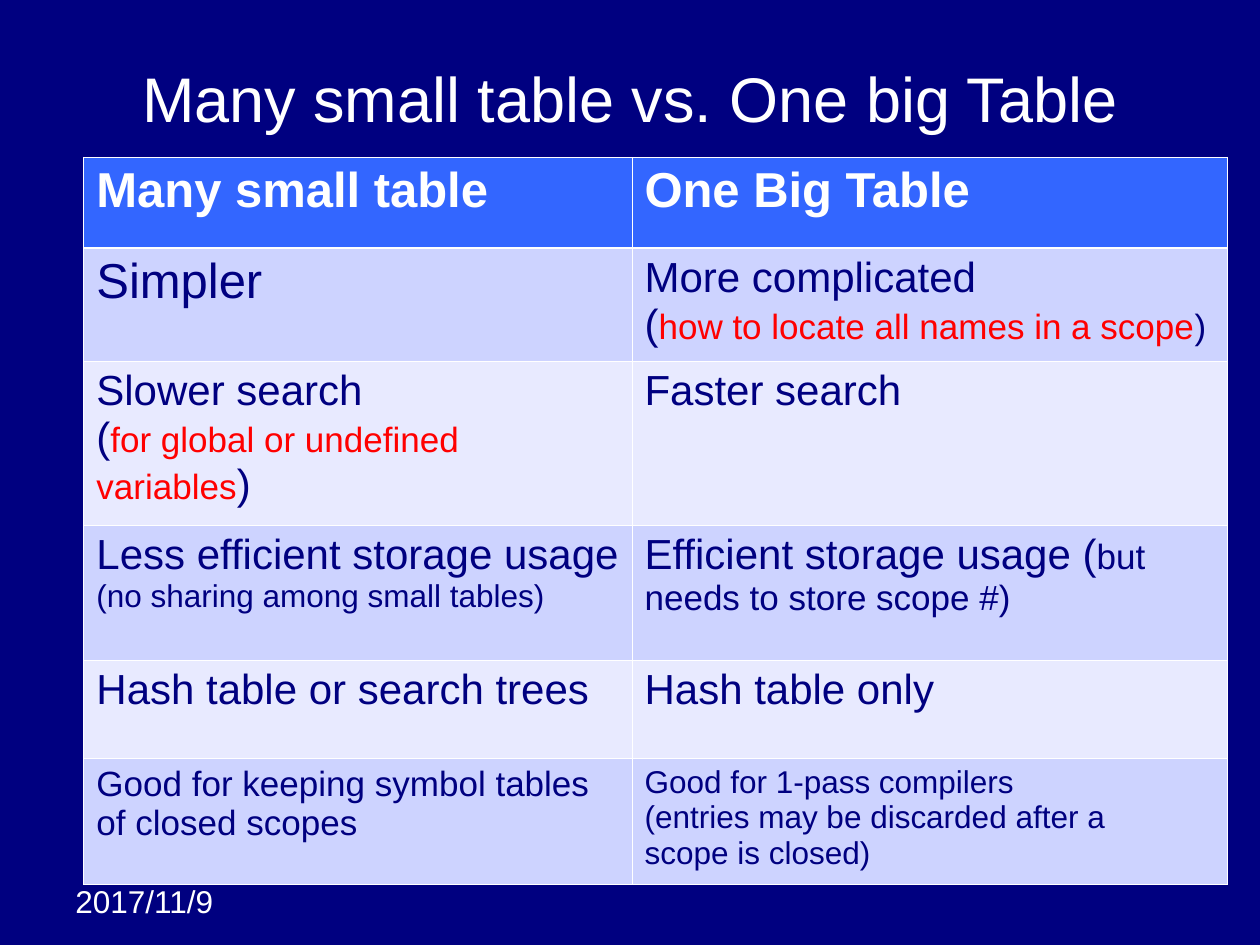
from dataclasses import dataclass

from lxml.etree import SubElement
from pptx import Presentation
from pptx.dml.color import RGBColor
from pptx.enum.text import MSO_ANCHOR, MSO_AUTO_SIZE, PP_ALIGN
from pptx.oxml.ns import qn
from pptx.util import Cm, Pt

COLORS = {
    "navy": "000080",
    "white": "FFFFFF",
    "red": "FF0000",
    "header": "3366FF",
    "odd": "CDD3FF",
    "even": "E8EAFF",
}


@dataclass
class Run:
    text: str
    size: float = 24
    color: str = "navy"
    bold: bool = False


@dataclass
class Row:
    height: float
    left: list[list[Run]]
    right: list[list[Run]]


COL_WIDTHS = (11.05, 12.01)
ROWS = [
    Row(1.83,
        [[Run("Many small table", 28, "white", True)]],
        [[Run("One Big Table", 28, "white", True)]]),
    Row(2.29,
        [[Run("Simpler", 28)]],
        [[Run("More complicated")],
         [Run("("), Run("how to locate all names in a scope", 20, "red"), Run(")", 20)]]),
    Row(3.3,
        [[Run("Slower search")],
         [Run("("), Run("for global or undefined variables", 20, "red"), Run(")")]],
        [[Run("Faster search")]]),
    Row(2.72,
        [[Run("Less efficient storage usage")],
         [Run("(no sharing among small tables)", 18)]],
        [[Run("Efficient storage usage ("), Run("but needs to store scope #)", 20)]]),
    Row(1.98,
        [[Run("Hash table or search trees")]],
        [[Run("Hash table only")]]),
    Row(2.54,
        [[Run("Good for keeping symbol tables of closed scopes", 20)]],
        [[Run("Good for 1-pass compilers", 18)],
         [Run("(entries may be discarded after a", 18)],
         [Run("scope is closed)", 18)]]),
]


def rgb(name: str) -> RGBColor:
    return RGBColor.from_string(COLORS[name])


def add_text(p, text: str, *, size: float, color: str, bold: bool = False) -> None:
    r = p.add_run()
    r.text = text
    r.font.name = "Arial"
    r.font.size = Pt(size)
    r.font.bold = bold
    r.font.color.rgb = rgb(color)


def set_borders(cell, top: float, bottom: float) -> None:
    tcPr = cell._tc.get_or_add_tcPr()
    widths = {"lnL": 0.45, "lnR": 0.45, "lnT": top, "lnB": bottom}
    for tag, width in widths.items():
        ln = SubElement(tcPr, qn(f"a:{tag}"), w=str(int(Pt(width))))
        fill = SubElement(ln, qn("a:solidFill"))
        SubElement(fill, qn("a:srgbClr"), val=COLORS["white"])


def fill_cell(cell, paragraphs: list[list[Run]], i: int) -> None:
    set_borders(cell, 1.47 if i == 1 else 0.45, 1.47 if i == 0 else 0.45)
    cell.fill.solid()
    cell.fill.fore_color.rgb = rgb("header" if i == 0 else "odd" if i % 2 else "even")
    tf = cell.text_frame
    for n, runs in enumerate(paragraphs):
        p = tf.add_paragraph() if n else tf.paragraphs[0]
        for run in runs:
            add_text(p, run.text, size=run.size, color=run.color, bold=run.bold)


def add_comparison(s, rows: list[Row]) -> None:
    height = sum(row.height for row in rows)
    table = s.shapes.add_table(len(rows), len(COL_WIDTHS), Cm(1.69), Cm(3.17),
                               Cm(sum(COL_WIDTHS)), Cm(height)).table
    for col, width in zip(table.columns, COL_WIDTHS):
        col.width = Cm(width)
    for i, row in enumerate(rows):
        table.rows[i].height = Cm(row.height)
        for j, paragraphs in enumerate((row.left, row.right)):
            fill_cell(table.cell(i, j), paragraphs, i)


def main() -> None:
    prs = Presentation()
    prs.slide_width, prs.slide_height = Cm(25.4), Cm(19.05)
    s = prs.slides.add_slide(prs.slide_layouts[5])
    s.background.fill.solid()
    s.background.fill.fore_color.rgb = rgb("navy")

    date = s.shapes.add_textbox(Cm(1.27), Cm(17.65), Cm(4.01), Cm(1.02))
    date.text_frame.word_wrap = True
    add_text(date.text_frame.paragraphs[0], "2017/11/9", size=18, color="white")

    title = s.shapes.title
    title.left, title.top, title.width, title.height = Cm(1.27), Cm(0.76), Cm(22.86), Cm(2.41)
    tf = title.text_frame
    tf.auto_size = MSO_AUTO_SIZE.NONE
    tf.vertical_anchor = MSO_ANCHOR.MIDDLE
    p = tf.paragraphs[0]
    p.alignment = PP_ALIGN.CENTER
    add_text(p, "Many small table vs. One big Table", size=36, color="white")

    add_comparison(s, ROWS)
    prs.save("out.pptx")


if __name__ == "__main__":
    main()
